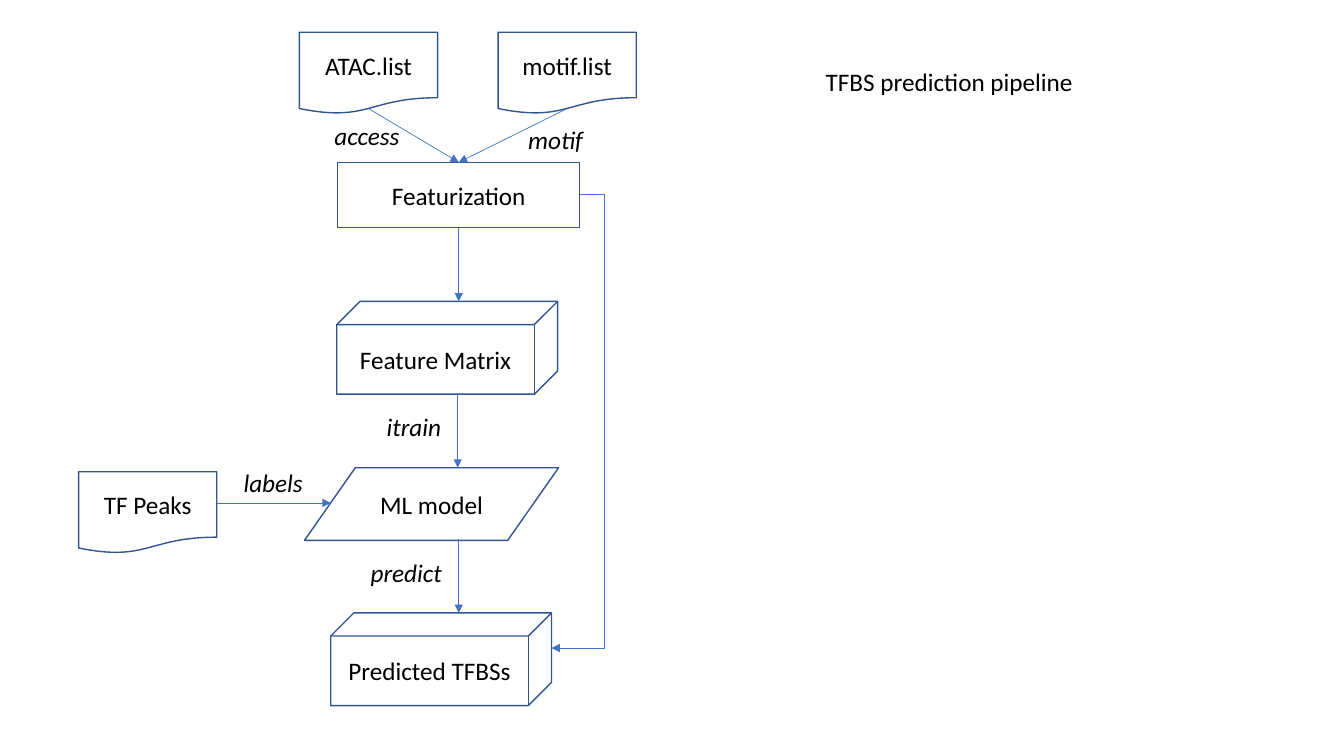
from lxml import etree
from pptx import Presentation
from pptx import util as u
from pptx.dml.color import RGBColor
from pptx.enum import shapes, text
from pptx.oxml.ns import qn

PX = 9144  # EMU per px, 100 px to the inch


def px(*lengths):
    return [u.Emu(length * PX) for length in lengths]


def color(value):
    return RGBColor.from_string(value)


class Flowchart:
    font, size, ink = "Calibri", 18, "000000"
    outline, arrow_color = "325491", "4472C4"

    def __init__(self, page):
        self.page = page

    def set_words(self, frame, words, italic=False):
        frame.text = words
        para = frame.paragraphs[0]
        para.alignment = text.PP_ALIGN.CENTER
        font = para.runs[0].font
        font.name, font.size, font.italic = self.font, u.Pt(self.size), italic
        font.color.rgb = color(self.ink)

    def node(self, kind, words, left, top, width, height):
        box = self.page.shapes.add_shape(kind, *px(left, top, width, height))
        box.shadow.inherit = False
        box.fill.background()
        box.line.color.rgb = color(self.outline)
        box.line.width = u.Pt(1)
        box.text_frame.vertical_anchor = text.MSO_ANCHOR.MIDDLE
        self.set_words(box.text_frame, words)

    def label(self, words, left, top, width, italic=True):
        box = self.page.shapes.add_textbox(*px(left, top, width, 40))
        box.text_frame.word_wrap = True
        box.text_frame.auto_size = text.MSO_AUTO_SIZE.SHAPE_TO_FIT_TEXT
        self.set_words(box.text_frame, words, italic)

    def arrow(self, start, end, bend=None):
        """Draw a straight arrow, or an elbow turning at bend, a share of its width."""
        kind = shapes.MSO_CONNECTOR.STRAIGHT if bend is None else shapes.MSO_CONNECTOR.ELBOW
        link = self.page.shapes.add_connector(kind, *px(*start, *end))
        link.line.color.rgb = color(self.arrow_color)
        link.line.width = u.Pt(0.5)
        properties = link._element.spPr
        line = properties.find(qn("a:ln"))
        etree.SubElement(line, qn("a:tailEnd"), type="triangle")
        etree.SubElement(properties, qn("a:effectLst"))
        if bend is not None:
            guides = properties.find(qn("a:prstGeom")).find(qn("a:avLst"))
            etree.SubElement(guides, qn("a:gd"), name="adj1",
                             fmla=f"val {round(bend * 100000)}")


def main():
    deck = Presentation()
    deck.slide_width, deck.slide_height = px(1333, 750)
    chart = Flowchart(deck.slides.add_slide(deck.slide_layouts[6]))
    kinds = shapes.MSO_SHAPE

    for words, left, top in [("ATAC.list", 297, 32), ("motif.list", 494, 32),
                             ("TF Peaks", 78, 468)]:
        chart.node(kinds.FLOWCHART_DOCUMENT, words, left, top, 137, 81)
    chart.node(kinds.FLOWCHART_PROCESS, "Featurization", 335, 161, 240, 65)
    chart.node(kinds.FLOWCHART_DATA, "ML model", 302, 464, 252, 72)
    for words, left, top in [("Feature Matrix", 334, 299), ("Predicted TFBSs", 328, 608)]:
        chart.node(kinds.CUBE, words, left, top, 219, 92)

    for start, end in [
        ((366, 108), (455, 161)),
        ((562, 108), (455, 161)),
        ((455, 226), (455, 299)),
        ((454, 391), (454, 464)),
        ((215, 499), (328, 499)),
        ((455, 535), (455, 608)),
    ]:
        chart.arrow(start, end)
    chart.arrow((575, 193), (547, 643), bend=-0.88)

    chart.label("TFBS prediction pipeline", 793, 61, 297, italic=False)
    for words, left, top, width in [
        ("itrain", 353, 403, 115),
        ("predict", 338, 548, 130),
        ("labels", 206, 459, 130),
        ("access", 299, 114, 130),
        ("motif", 486, 118, 130),
    ]:
        chart.label(words, left, top, width)

    deck.save("out.pptx")


if __name__ == "__main__":
    main()
